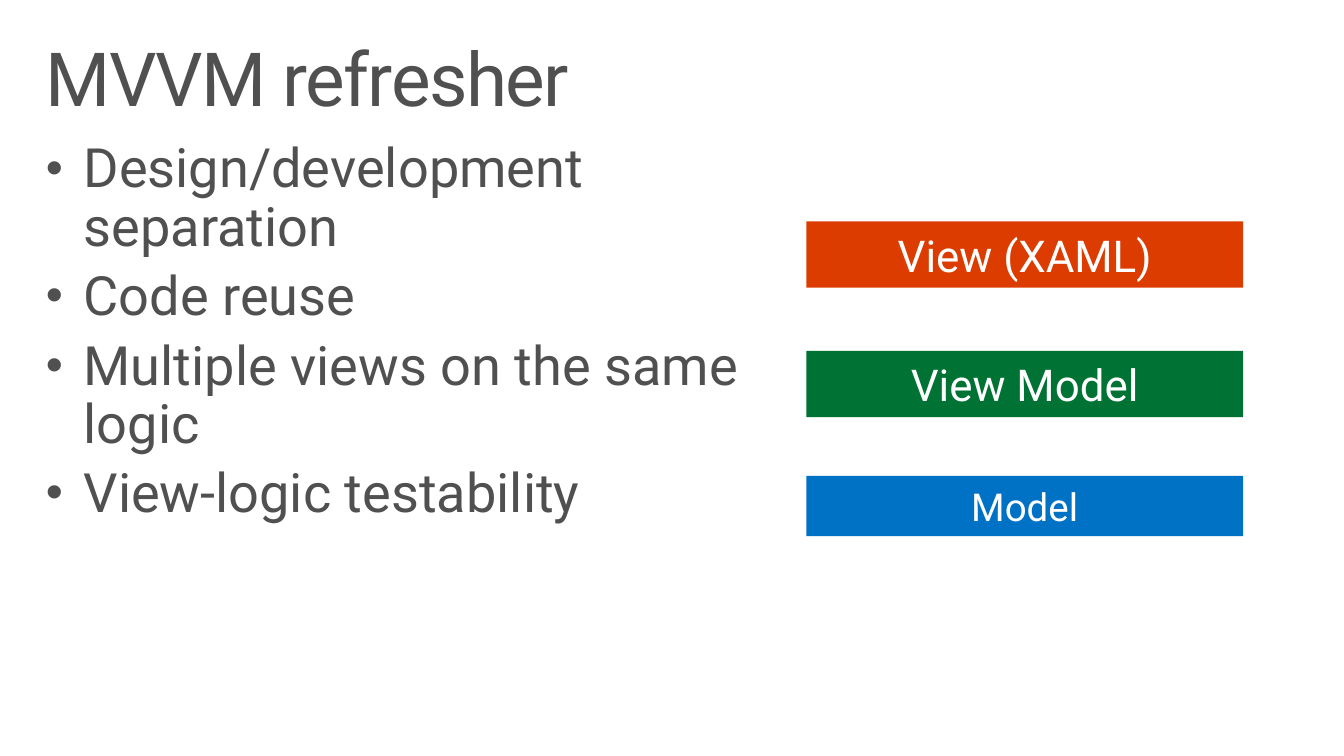
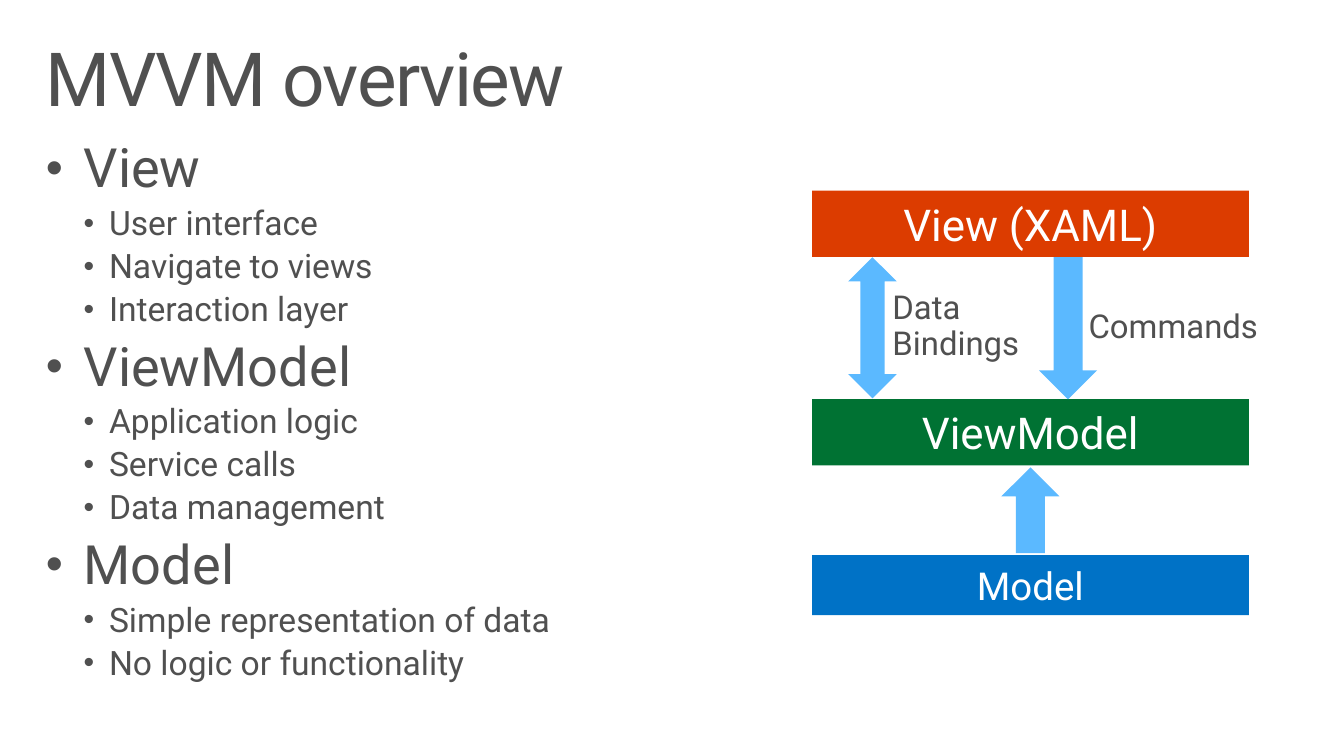
from lxml.etree import SubElement
from pptx import Presentation
from pptx.dml.color import RGBColor
from pptx.enum.shapes import MSO_SHAPE
from pptx.enum.text import MSO_ANCHOR, PP_ALIGN
from pptx.oxml.ns import qn
from pptx.util import Pt

GRAY, WHITE, SKY = "505050", "FFFFFF", "5BB9FF"
ORANGE, GREEN, BLUE = "DC3C00", "007233", "0072C6"
BULLETS = [(29, 20.2, 20.2), (18, 33.8, 13.6)]


def paint(sp, color):
    sp.shadow.inherit = False
    sp.fill.solid()
    sp.fill.fore_color.rgb = RGBColor.from_string(color)
    sp.line.fill.background()


def write(tf, text, size=18, color=GRAY, margins=(8.64, 5.04), align=PP_ALIGN.LEFT,
          anchor=MSO_ANCHOR.TOP, line=0.9, after=None, tracking=None, level=None):
    tf.word_wrap = True
    tf.vertical_anchor = anchor
    tf.margin_left = tf.margin_right = Pt(margins[0])
    tf.margin_top = tf.margin_bottom = Pt(margins[1])
    p = tf.add_paragraph() if tf.text else tf.paragraphs[0]
    p.alignment = align
    p.line_spacing = line
    if after:
        p.space_after = Pt(after)
    if level is not None:
        size, left, hang = BULLETS[level]
        p.level = level
        pPr = p._p.get_or_add_pPr()
        pPr.set("marL", str(Pt(left)))
        pPr.set("indent", str(-Pt(hang)))
        SubElement(SubElement(pPr, qn("a:spcBef")), qn("a:spcPct"), val="20000")
        SubElement(pPr, qn("a:buSzPct"), val="90000")
        SubElement(pPr, qn("a:buFont"), typeface="Arial")
        SubElement(pPr, qn("a:buChar"), char="•")
    r = p.add_run()
    r.text = text
    r.font.name = "Roboto"
    r.font.size = Pt(size)
    r.font.color.rgb = RGBColor.from_string(color)
    if tracking:
        r._r.get_or_add_rPr().set("spc", str(round(tracking * 100)))


prs = Presentation()
prs.slide_width, prs.slide_height = Pt(720), Pt(405)

slides = [
    ("MVVM refresher", 404, 185,
     [("Design/development separation", 0), ("Code reuse", 0),
      ("Multiple views on the same logic", 0), ("View-logic testability", 0)],
     432, [("Model", 255, BLUE), ("View (XAML)", 118.6, ORANGE), ("View Model", 188, GREEN)]),
    ("MVVM overview", 688, 121,
     [("View", 0), ("User interface", 1), ("Navigate to views", 1), ("Interaction layer", 1),
      ("ViewModel", 0), ("Application logic", 1), ("Service calls", 1), ("Data management", 1),
      ("Model", 0), ("Simple representation of data", 1), ("No logic or functionality", 1)],
     435, [("Model", 297.4, BLUE), ("View (XAML)", 102.2, ORANGE), ("ViewModel", 213.8, GREEN)]),
]

for title, body_width, body_height, bullets, layer_left, layers in slides:
    s = prs.slides.add_slide(prs.slide_layouts[6])
    tf = s.shapes.add_textbox(Pt(16), Pt(70.6), Pt(body_width), Pt(body_height)).text_frame
    for text, level in bullets:
        write(tf, text, level=level)
    tf = s.shapes.add_textbox(Pt(16), Pt(17.3), Pt(688), Pt(53.3)).text_frame
    write(tf, title, size=40, tracking=-0.8)
    for text, top, color in layers:
        height, size = (32.2, 20.6) if text == "Model" else (35.5, 23.5)
        sp = s.shapes.add_shape(MSO_SHAPE.ROUND_2_SAME_RECTANGLE, Pt(layer_left), Pt(top),
                                Pt(234), Pt(height))
        sp.adjustments[0] = sp.adjustments[1] = 0
        paint(sp, color)
        write(sp.text_frame, text, size=size, color=WHITE, margins=(7.2, 3.6), line=1.0,
              align=PP_ALIGN.CENTER, anchor=MSO_ANCHOR.MIDDLE)

for kind, left, top, width, height, rotation in [
    (MSO_SHAPE.DOWN_ARROW, 556.7, 137.8, 31, 76.2, 0),
    (MSO_SHAPE.UP_DOWN_ARROW, 454.4, 137.8, 26, 75.6, 0),
    (MSO_SHAPE.DOWN_ARROW, 536.5, 250.4, 31, 46, 180),
]:
    sp = s.shapes.add_shape(kind, Pt(left), Pt(top), Pt(width), Pt(height))
    sp.rotation = rotation
    paint(sp, SKY)

for text, left, top, height in [("Data Bindings", 467.3, 147.6, 55.4),
                                ("Commands", 572.4, 157.7, 36)]:
    tf = s.shapes.add_textbox(Pt(left), Pt(top), Pt(116), Pt(height)).text_frame
    write(tf, text, size=17.6, margins=(10.8, 8.64), after=4.4)

prs.save("out.pptx")
